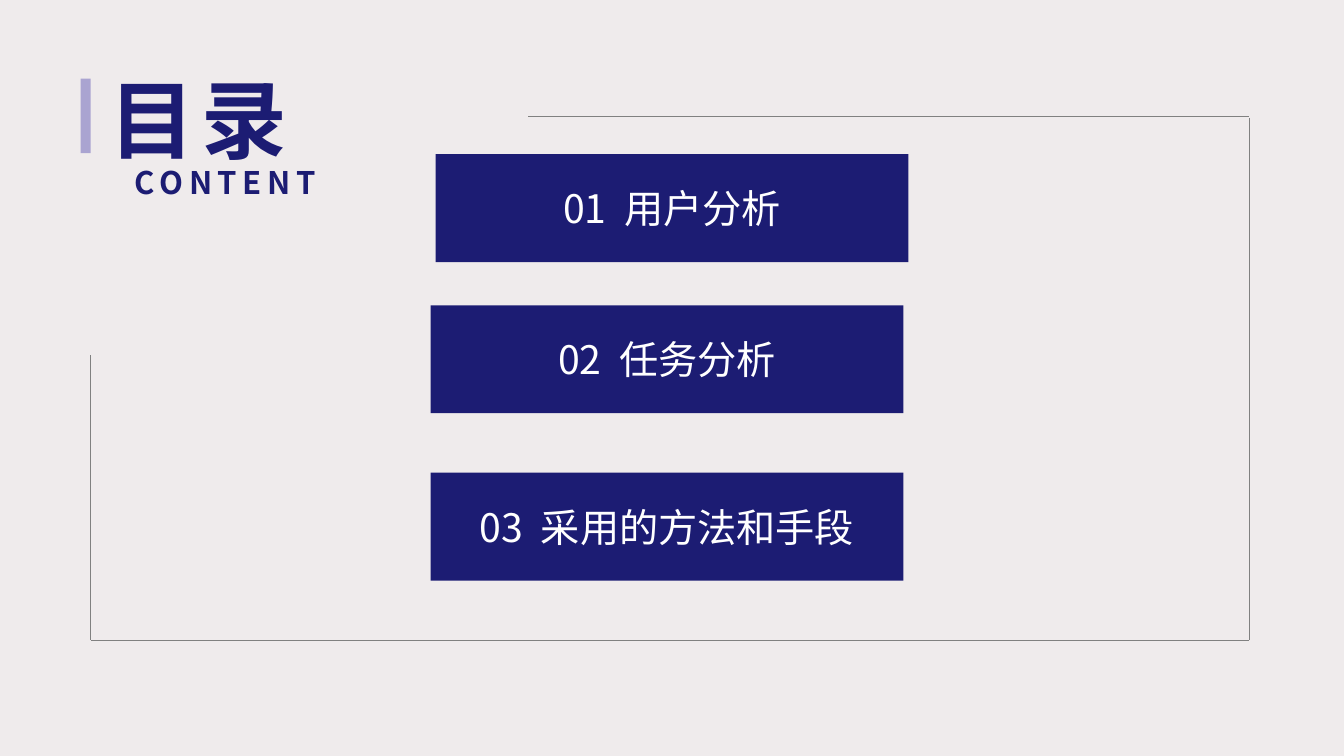
from pptx import Presentation, util as u
from pptx.dml.color import RGBColor
from pptx.enum import shapes, text
from pptx.oxml.ns import qn
from lxml import etree

FONT = "Noto Sans CJK SC"
NAVY, LILAC, WHITE = "1C1C73", "AAA4D1", "FFFFFF"
GREY, PAPER = "808080", "EFEBEC"
ALIGN = text.PP_ALIGN
ANCHOR = text.MSO_ANCHOR


def tint(fill, color):
    fill.solid()
    fill.fore_color.rgb = RGBColor.from_string(color)


def adjust(item, values):
    for name, value in values.items():
        setattr(item, name, value)


def write(par, words, size, color, bold=False, space=0):
    """Add a run; space is the letter spacing in points."""
    run = par.add_run()
    run.text = words
    adjust(run.font, {"name": FONT, "size": u.Pt(size), "bold": bold})
    tint(run.font.fill, color)
    props = run.font._element
    east = etree.Element(qn("a:ea"), typeface=FONT)
    props.find(qn("a:latin")).addnext(east)
    if space:
        props.set("spc", str(round(space * 100)))


def head(shape, box, words, size, align, wrap):
    """Place and fill one of the two heading lines."""
    names = ("left", "top", "width", "height")
    adjust(shape, dict(zip(names, map(u.Inches, box))))
    frame = shape.text_frame
    adjust(frame, {
        "word_wrap": wrap,
        "auto_size": text.MSO_AUTO_SIZE.NONE,
        "vertical_anchor": ANCHOR.TOP,
    })
    par = frame.paragraphs[0]
    adjust(par, {"alignment": align, "line_spacing": 0.9})
    write(par, words, size, NAVY, True, 4)


def block(slide, box, color):
    shape = slide.shapes.add_shape(
        shapes.MSO_SHAPE.RECTANGLE, *map(u.Inches, box))
    shape.shadow.inherit = False
    tint(shape.fill, color)
    shape.line.fill.background()
    return shape


def entry(slide, left, top, number, topic):
    frame = block(slide, (left, top, 4.69, 1.07), NAVY).text_frame
    adjust(frame, {
        "word_wrap": False,
        "vertical_anchor": ANCHOR.MIDDLE,
        "margin_left": u.Inches(0.13),
        "margin_right": u.Inches(0.13),
        "margin_top": u.Inches(0.07),
        "margin_bottom": u.Inches(0.07),
    })
    par = frame.paragraphs[0]
    par.alignment = ALIGN.CENTER
    for words, space in ((number, 0), (" ", 6.3), (topic, 0)):
        write(par, words, 28, WHITE, space=space)


def rule(slide, *ends):
    line = slide.shapes.add_connector(
        shapes.MSO_CONNECTOR.STRAIGHT, *map(u.Inches, ends))
    tint(line.line.fill, GREY)
    line.line.width = u.Pt(0.5)
    etree.SubElement(line._element.spPr, qn("a:effectLst"))


def main():
    deck = Presentation()
    adjust(deck, {"slide_width": u.Inches(13.33),
                  "slide_height": u.Inches(7.5)})
    slide = deck.slides.add_slide(deck.slide_layouts[5])
    tint(slide.background.fill, PAPER)

    head(slide.shapes.title, (0.99, 0.73, 4.02, 1.01),
         "目录", 61.2, ALIGN.LEFT, True)
    block(slide, (0.8, 0.78, 0.1, 0.74), LILAC).rotation = 180
    label = slide.shapes.add_textbox(0, 0, 0, 0)
    head(label, (1.24, 1.61, 1.74, 0.4),
         "CONTENT", 22.2, ALIGN.JUSTIFY, False)

    left, right, base = 0.9, 12.39, 6.35
    rule(slide, 5.24, 1.15, right, 1.15)
    rule(slide, right, 1.17, right, base)
    rule(slide, right, base, left, base)
    rule(slide, left, base, left, 3.52)

    entry(slide, 4.32, 1.53, "01", "用户分析")
    entry(slide, 4.27, 3.03, "02", "任务分析")
    entry(slide, 4.27, 4.69, "03", "采用的方法和手段")
    deck.save("out.pptx")


if __name__ == "__main__":
    main()
